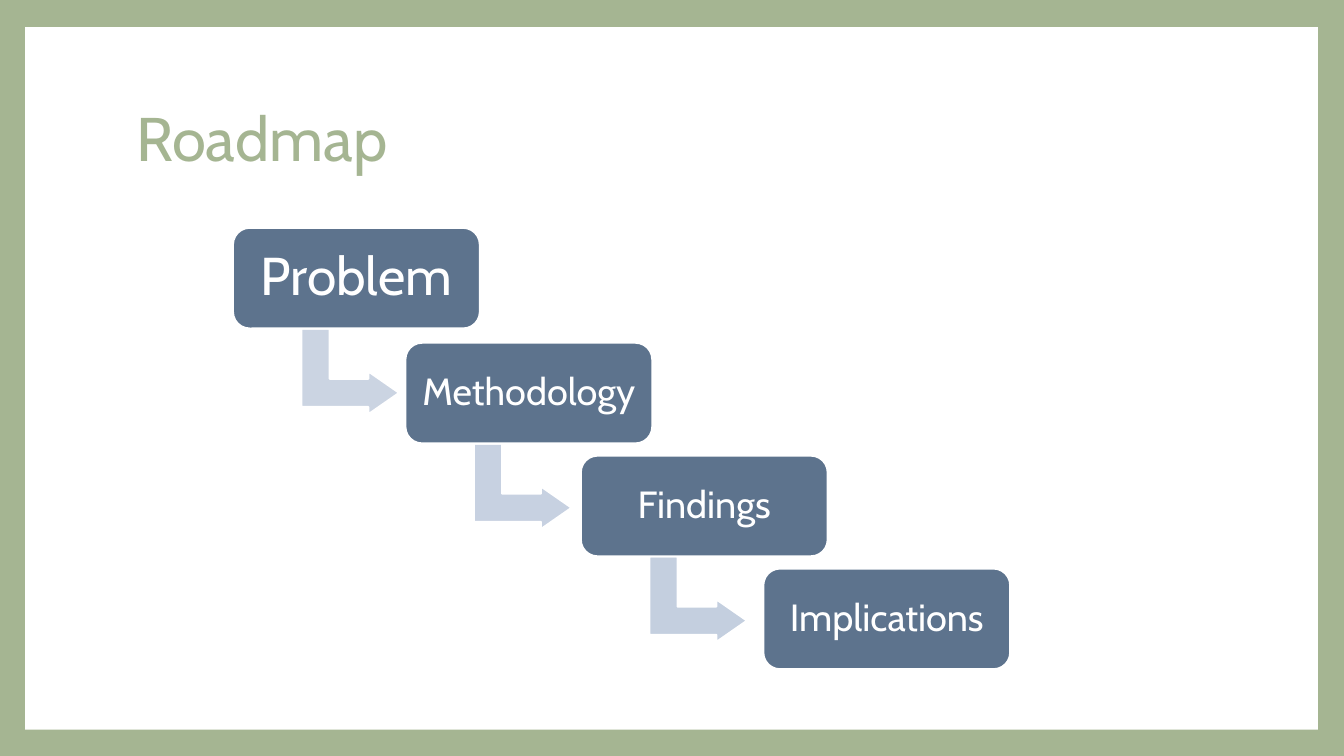
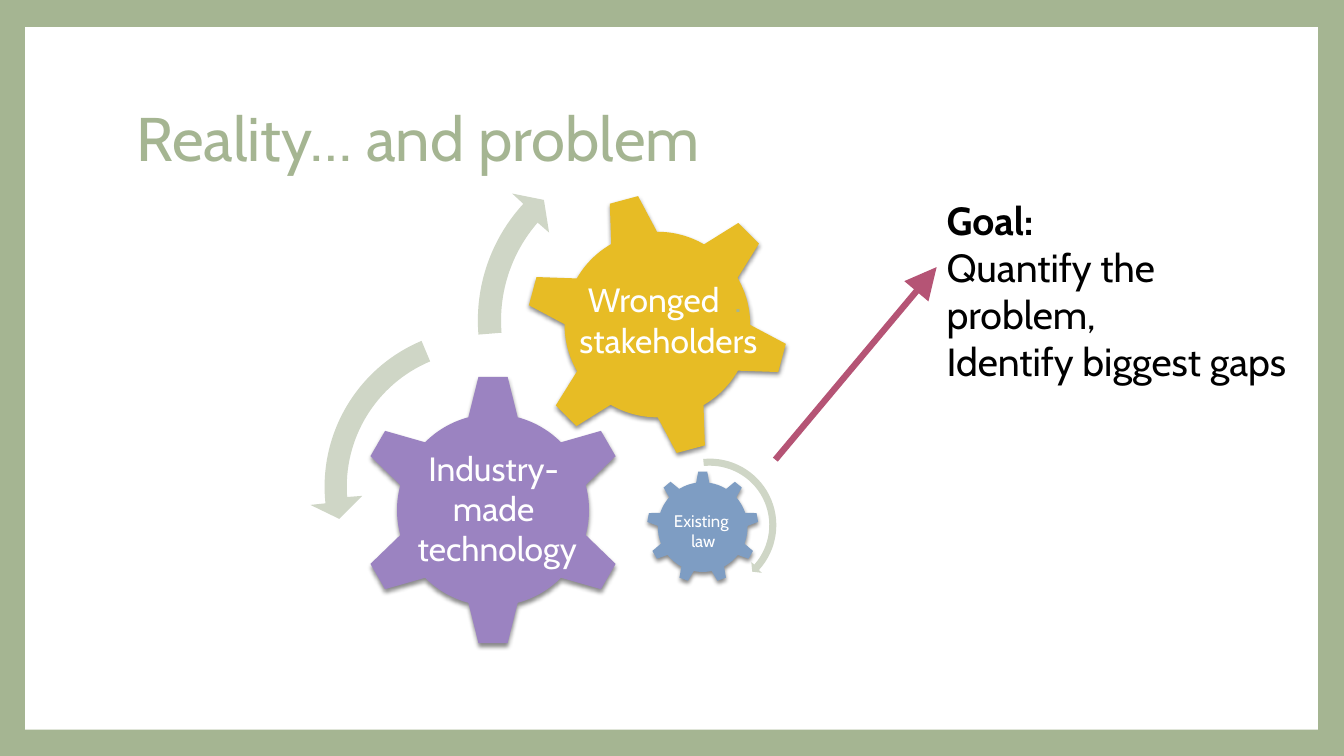
from math import asin, ceil, cos, hypot, pi, radians, sin, tan

from lxml.etree import SubElement
from pptx import Presentation
from pptx.dml.color import RGBColor
from pptx.enum.shapes import MSO_CONNECTOR, MSO_SHAPE
from pptx.enum.text import MSO_ANCHOR, PP_ALIGN
from pptx.oxml.ns import qn
from pptx.util import Inches, Pt

SAGE, WHITE, BLACK = "A5B592", "FFFFFF", "000000"
SLATE, PALE_SAGE, ROSE = "5D738D", "CFD6C6", "B55475"
FONT = "Cabin"
TITLE_BOX = (1.25, 0.66, 10.8, 1.48)
STEP_SIZE = (2.45, 1)
STEPS = [
    ("Problem", 38, (2.31, 2.26), "CBD4E2"),
    ("Methodology", 27, (4.02, 3.4), "C7D1E1"),
    ("Findings", 27, (5.76, 4.52), "C4CFDF"),
    ("Implications", 27, (7.57, 5.64), None),
]
GEARS = [
    {
        "gear": dict(centre=(6.97, 5.23), side=1.1, teeth=9, turn=0,
                     root=(0.065, 0.44), tip=(0.045, 0.55), fill="7E9DC3"),
        "arrow": dict(centre=(7.04, 5.21), side=1.41, radii=(0.59, 0.66), start=-5.7,
                      ends=(131.6, 132.5), point=137.6, wing=0.04),
        "box": (6.42, 5.02, 1.11, 0.37),
        "size": 12,
        "label": [("Existing \vlaw", WHITE)],
    },
    {
        "gear": dict(centre=(4.89, 5.06), side=2.71, teeth=6, turn=0,
                     root=(0.245, 0.92), tip=(0.145, 1.32), fill="9B83C1"),
        "arrow": dict(centre=(4.79, 4.83), side=3.46, radii=(1.35, 1.57), start=-22.8,
                      ends=(-94.3, -96), point=-102.6, wing=0.15),
        "box": (3.89, 4.39, 2.01, 1.31),
        "size": 24,
        "label": [("Industry-made\v technology", WHITE)],
    },
    {
        "gear": dict(centre=(6.52, 3.22), side=3.22, teeth=6, turn=-15,
                     root=(0.235, 0.89), tip=(0.145, 1.28), fill="E7BC25"),
        "arrow": dict(centre=(6.45, 3.18), side=3.7, radii=(1.48, 1.71), start=-94.7,
                      ends=(-49, -47.4), point=-41.4, wing=0.15),
        "box": (4.76, 2.72, 3.74, 1),
        "size": 24,
        "label": [("Wronged  ", WHITE), (". \v", SAGE), ("stakeholders", WHITE)],
    },
]


def colour(target, value):
    """Give a fill a solid colour, or a font or line its colour."""
    if hasattr(target, "solid"):
        target.solid()
        target.fore_color.rgb = RGBColor.from_string(value)
    else:
        target.color.rgb = RGBColor.from_string(value)


def apply(target, values):
    """Set the attributes of an object from a dict."""
    for name, value in values.items():
        setattr(target, name, value)


def lengths(values):
    """Turn numbers into inch lengths."""
    return [Inches(value) for value in values]


def place(shape, box):
    """Set the left, top, width and height of a shape in inches."""
    apply(shape, dict(zip(("left", "top", "width", "height"), lengths(box))))


def write(paragraph, runs, size, bold=False, **values):
    """Fill a paragraph with (text, colour) runs of one size."""
    apply(paragraph, values)
    for text, value in runs:
        for index, line in enumerate(text.split("\v")):
            if index:
                paragraph.add_line_break()
            if line:
                run = paragraph.add_run()
                run.text = line
                apply(run.font, {"name": FONT, "size": Pt(size), "bold": bold})
                colour(run.font, value)


def style_shape(shape, fill, line=None):
    """Give a shape a flat fill and an optional outline."""
    shape.shadow.inherit = False
    colour(shape.fill, fill)
    if line:
        colour(shape.line, line)
        shape.line.width = Pt(1.5)
    else:
        shape.line.fill.background()
    return shape


def set_up_layout(presentation):
    """Put the background and the title position on the shared layout."""
    layout = presentation.slide_layouts[5]
    colour(layout.background.fill, SAGE)
    place(layout.placeholders[0], TITLE_BOX)
    return layout


def add_panel(slide):
    """Add the white panel and move it to the slide's layout."""
    panel = slide.shapes.add_shape(MSO_SHAPE.RECTANGLE, *lengths((0.25, 0.27, 12.82, 6.97)))
    style_shape(panel, WHITE)
    slide.slide_layout.shapes.element.insert(2, panel.element)


def add_titled_slide(presentation, layout, text):
    """Add a slide with a formatted title."""
    slide = presentation.slides.add_slide(layout)
    frame = slide.shapes.title.text_frame
    frame.vertical_anchor = MSO_ANCHOR.MIDDLE
    write(frame.paragraphs[0], [(text, SAGE)], 44,
          alignment=PP_ALIGN.LEFT, line_spacing=0.9)
    return slide


def add_text(slide, box, paragraphs, size, alignment):
    """Add a text box from (runs, bold) paragraphs."""
    frame = slide.shapes.add_textbox(*lengths(box)).text_frame
    frame.word_wrap = True
    for index, (runs, bold) in enumerate(paragraphs):
        paragraph = frame.add_paragraph() if index else frame.paragraphs[0]
        write(paragraph, runs, size, bold, alignment=alignment)


def add_step(slide, text, size, corner, arrow_fill):
    """Add one roadmap box and the bent arrow that leaves it."""
    left, top = corner
    if arrow_fill:
        arrow = slide.shapes.add_shape(
            MSO_SHAPE.BENT_UP_ARROW, *lengths((left + 0.74, top + 0.94, 0.85, 0.97)))
        arrow.rotation = 90
        for index, value in enumerate((0.33, 0.25, 0.36)):
            arrow.adjustments[index] = value
        style_shape(arrow, arrow_fill, WHITE)
    step = slide.shapes.add_shape(MSO_SHAPE.ROUNDED_RECTANGLE, *lengths(corner + STEP_SIZE))
    style_shape(step, SLATE, WHITE)
    apply(step.text_frame, {"word_wrap": True, "vertical_anchor": MSO_ANCHOR.MIDDLE})
    write(step.text_frame.paragraphs[0], [(text, WHITE)], size,
          alignment=PP_ALIGN.CENTER, line_spacing=0.9)


def polar(centre, radius, angle):
    """Return the point at a clockwise angle from the top, in radians."""
    return centre[0] + radius * sin(angle), centre[1] - radius * cos(angle)


def arc(centre, radius, start, end):
    """Return a line to the start of an arc and the curves along it."""
    parts = ceil(abs(end - start) / (pi / 2))
    sweep = (end - start) / parts
    reach = 4 / 3 * tan(sweep / 4)
    far, lean = radius * hypot(1, reach), asin(reach / hypot(1, reach))
    segments = [(polar(centre, radius, start),)]
    for part in range(parts):
        first = start + part * sweep
        last = first + sweep
        segments.append((polar(centre, far, first + lean),
                         polar(centre, far, last - lean),
                         polar(centre, radius, last)))
    return segments


def add_outline(slide, centre, side, segments, fill):
    """Add a closed outline of lines and curves in a square frame."""
    points = [tuple(lengths(point)) for segment in segments for point in segment]
    builder = slide.shapes.build_freeform(*points[0])
    builder.add_line_segments(points[1:], close=True)
    shape = style_shape(builder.convert_to_shape(), fill)

    outline = next(shape.element.iter(qn("a:path")))
    steps = iter(list(outline))
    for segment in segments:
        first = next(steps)
        if len(segment) == 3:
            first.tag = qn("a:cubicBezTo")
            for extra in (next(steps), next(steps)):
                first.append(extra[0])
                outline.remove(extra)

    old_corner = shape.left, shape.top
    place(shape, (centre[0] - side / 2, centre[1] - side / 2, side, side))
    for point in outline.iter(qn("a:pt")):
        for axis, old, new in zip("xy", old_corner, (shape.left, shape.top)):
            point.set(axis, str(int(point.get(axis)) + old - new))
    for name in "wh":
        outline.set(name, str(shape.width))
    return shape


def add_gear(slide, centre, side, teeth, turn, root, tip, fill):
    """Add a gear; root and tip give a tooth's half width and distance."""
    root_radius, tip_radius = hypot(*root), hypot(*tip)
    root_angle, tip_angle = asin(root[0] / root_radius), asin(tip[0] / tip_radius)
    pitch = 2 * pi / teeth
    segments = []
    for tooth in range(teeth):
        middle = radians(turn) + tooth * pitch
        segments += [(polar(centre, tip_radius, middle - tip_angle),),
                     (polar(centre, tip_radius, middle + tip_angle),)]
        segments += arc(centre, root_radius, middle + root_angle, middle + pitch - root_angle)
    gear = add_outline(slide, centre, side, segments, fill)
    effects = gear.element.spPr.find(qn("a:effectLst"))
    shadow = SubElement(effects, qn("a:outerShdw"), blurRad=str(Pt(3)), dist=str(Pt(2)),
                        dir="5400000", rotWithShape="0")
    shade = SubElement(shadow, qn("a:srgbClr"), val=BLACK)
    SubElement(shade, qn("a:alpha"), val="45000")


def add_turn_arrow(slide, centre, side, radii, start, ends, point, wing):
    """Add a curved arrow; radii and ends are inner, then outer."""
    start, point = radians(start), radians(point)
    inner, outer = radii
    inner_end, outer_end = map(radians, ends)
    head = [(polar(centre, outer + wing, outer_end),),
            (polar(centre, (inner + outer) / 2, point),),
            (polar(centre, inner - wing, inner_end),)]
    segments = arc(centre, outer, start, outer_end) + head + arc(centre, inner, inner_end, start)
    add_outline(slide, centre, side, segments, PALE_SAGE)


def add_arrow(slide, start, end):
    """Add a straight arrow with a large triangular head."""
    connector = slide.shapes.add_connector(MSO_CONNECTOR.STRAIGHT, *lengths(start + end))
    colour(connector.line, ROSE)
    connector.line.width = Pt(4.5)
    properties = connector.element.spPr
    SubElement(properties.find(qn("a:ln")), qn("a:tailEnd"), type="triangle", w="lg", len="lg")
    SubElement(properties, qn("a:effectLst"))


def main():
    """Build and save the presentation."""
    presentation = Presentation()
    apply(presentation, {"slide_width": Inches(13.33), "slide_height": Inches(7.5)})
    layout = set_up_layout(presentation)

    roadmap = add_titled_slide(presentation, layout, "Roadmap")
    add_panel(roadmap)
    for step in STEPS:
        add_step(roadmap, *step)

    reality = add_titled_slide(presentation, layout, "Reality… and problem")
    for item in GEARS:
        add_gear(reality, **item["gear"])
        add_turn_arrow(reality, **item["arrow"])
        add_text(reality, item["box"], [(item["label"], False)], item["size"],
                 PP_ALIGN.CENTER)
    add_arrow(reality, (7.69, 4.56), (9.29, 2.65))
    goal = [("Goal:", True), ("Quantify the problem,", False),
            ("Identify biggest gaps", False)]
    add_text(reality, (9.29, 1.9, 3.81, 1.51),
             [([(text, BLACK)], bold) for text, bold in goal], 28, PP_ALIGN.LEFT)

    presentation.save("out.pptx")


if __name__ == "__main__":
    main()
